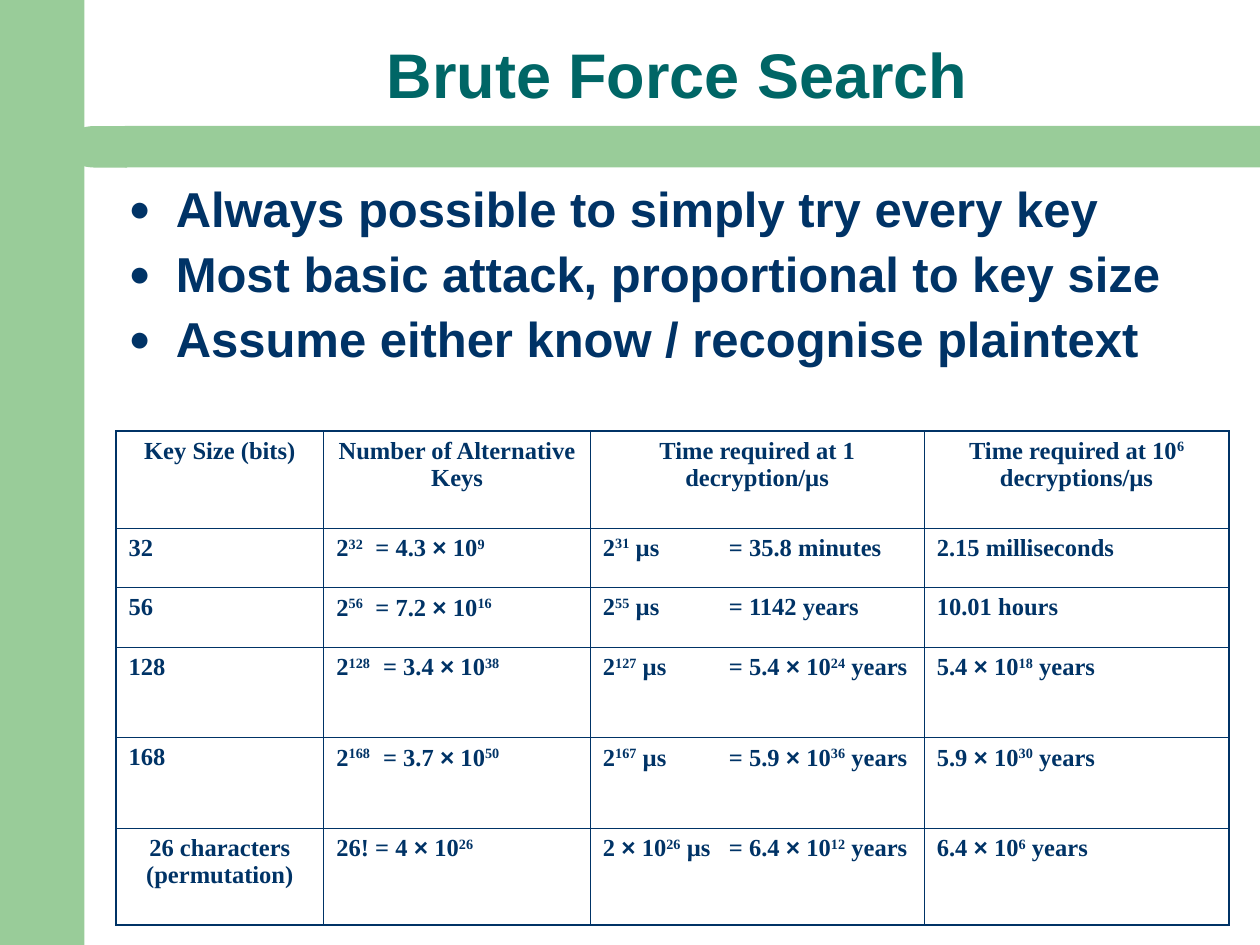
import dataclasses
import itertools
import typing

import lxml.etree
import pptx
import pptx.dml.color
import pptx.enum.shapes
import pptx.enum.text
import pptx.oxml.ns
import pptx.util

ALIGN = pptx.enum.text.PP_ALIGN
SHAPE = pptx.enum.shapes.MSO_SHAPE
GRID_COLUMNS, GRID_ROWS = 100, 75
DECK_WIDTH, DECK_HEIGHT = pptx.util.Inches(10), pptx.util.Inches(7.5)


@dataclasses.dataclass(frozen=True)
class Theme:
    band: str = "99CC99"
    title: str = "006666"
    ink: str = "003366"
    sans: str = "Arial"
    serif: str = "Times New Roman"
    title_size: float = 36
    body_size: float = 28
    cell_size: float = 14
    outer_line: float = 1.08
    inner_line: float = 0.45


class Area(typing.NamedTuple):
    column: float
    row: float
    width: float
    height: float


class Band(typing.NamedTuple):
    shape: typing.Any
    area: Area
    rotation: float = 0


class KeyRow(typing.NamedTuple):
    height: float
    cells: tuple[str, str, str, str]
    centred: tuple[int, ...] = ()


THEME = Theme()
BANDS = (
    Band(SHAPE.RECTANGLE, Area(0, 0, 6.7, GRID_ROWS)),
    Band(SHAPE.RECTANGLE, Area(9.9, 10, 90.1, 3.3)),
    Band(SHAPE.FLOWCHART_DELAY, Area(5, 10, 5.1, 3.3), 180),
)
TITLE_AREA = Area(8.9, 1.4, 89.7, 8)
BODY_AREA = Area(9.2, 14.2, 89.2, 21.5)
TABLE_AREA = Area(9.2, 34.2, 88.3, 39.2)
POINTS = (
    "Always possible to simply try every key",
    "Most basic attack, proportional to key size",
    "Assume either know / recognise plaintext",
)
COLUMN_WIDTHS = (16.5, 21.15, 26.5, 24.2)
KEY_ROWS = (
    KeyRow(7.7, ("Key Size (bits)", "Number of Alternative Keys",
                 "Time required at 1 decryption/µs",
                 "Time required at 10^6^ decryptions/µs"), (0, 1, 2, 3)),
    KeyRow(4.75, ("32", "2^32^\t= 4.3 × 10^9^", "2^31^ µs\t= 35.8 minutes",
                  "2.15 milliseconds")),
    KeyRow(4.7, ("56", "2^56^\t= 7.2 × 10^16^", "2^55^ µs\t= 1142 years",
                 "10.01 hours")),
    KeyRow(7.2, ("128", "2^128^\t= 3.4 × 10^38^",
                 "2^127^ µs\t= 5.4 × 10^24^ years", "5.4 × 10^18^ years")),
    KeyRow(7.2, ("168", "2^168^\t= 3.7 × 10^50^",
                 "2^167^ µs\t= 5.9 × 10^36^ years", "5.9 × 10^30^ years")),
    KeyRow(7.7, ("26 characters (permutation)", "26! = 4 × 10^26^",
                 "2 × 10^26^ µs\t= 6.4 × 10^12^ years",
                 "6.4 × 10^6^ years"), (0,)),
)


def across(columns: float) -> int:
    return round(DECK_WIDTH * columns / GRID_COLUMNS)


def down(rows: float) -> int:
    return round(DECK_HEIGHT * rows / GRID_ROWS)


def bounds(area: Area) -> tuple[int, int, int, int]:
    return across(area.column), down(area.row), across(area.width), down(area.height)


def colour(value: str) -> pptx.dml.color.RGBColor:
    return pptx.dml.color.RGBColor.from_string(value)


def child(parent: typing.Any, tag: str, **attributes: typing.Any) -> typing.Any:
    values = {name: str(value) for name, value in attributes.items()}
    return lxml.etree.SubElement(parent, pptx.oxml.ns.qn(tag), values)


def write(para: typing.Any, text: str, *, size: float, ink: str, font: str,
          align: typing.Any = ALIGN.LEFT, leading: float = 1, before: float = 0) -> None:
    para.alignment = align
    para.line_spacing = leading
    para.space_before = pptx.util.Pt(before)
    for index, piece in enumerate(text.split("^")):
        for is_sign, letters in itertools.groupby(piece, lambda letter: letter == "×"):
            span = para.add_run()
            span.text = "".join(letters)
            span.font.size = pptx.util.Pt(size)
            span.font.bold = True
            span.font.name = THEME.sans if is_sign else font
            span.font.color.rgb = colour(ink)
            if index % 2:
                span.font._element.set("baseline", "30000")


def place(box: typing.Any, area: Area, anchor: typing.Any) -> typing.Any:
    box.left, box.top, box.width, box.height = bounds(area)
    frame = box.text_frame
    frame.word_wrap = True
    frame.auto_size = pptx.enum.text.MSO_AUTO_SIZE.NONE
    frame.vertical_anchor = anchor
    return frame


def draw_band(page: typing.Any, band: Band) -> None:
    box = page.shapes.add_shape(band.shape, *bounds(band.area))
    box.rotation = band.rotation
    box.shadow.inherit = False
    box.fill.solid()
    box.fill.fore_color.rgb = colour(THEME.band)
    box.line.fill.background()


def add_bullet(para: typing.Any) -> None:
    properties = para._p.get_or_add_pPr()
    properties.set("marL", str(across(3.75)))
    properties.set("indent", str(-across(3.75)))
    child(child(properties, "a:buClr"), "a:srgbClr", val=THEME.ink)
    child(properties, "a:buSzPct", val=75000)
    child(properties, "a:buChar", char="●")


def add_tab(para: typing.Any, column: float) -> None:
    stops = child(para._p.get_or_add_pPr(), "a:tabLst")
    child(stops, "a:tab", pos=across(column), algn="l")


def draw_points(box: typing.Any) -> None:
    frame = place(box, BODY_AREA, pptx.enum.text.MSO_ANCHOR.TOP)
    for index, point in enumerate(POINTS):
        para = frame.add_paragraph() if index else frame.paragraphs[0]
        add_bullet(para)
        write(para, point, size=THEME.body_size, ink=THEME.ink, font=THEME.sans,
              leading=0.9, before=7 if index else 0)


def draw_borders(cell: typing.Any, outer: dict[str, bool]) -> None:
    properties = cell._tc.get_or_add_tcPr()
    for side, is_outer in outer.items():
        width = THEME.outer_line if is_outer else THEME.inner_line
        line = child(properties, f"a:ln{side}", w=int(pptx.util.Pt(width)))
        child(child(line, "a:solidFill"), "a:srgbClr", val=THEME.ink)


def draw_table(page: typing.Any) -> None:
    last_row, last_column = len(KEY_ROWS) - 1, len(COLUMN_WIDTHS) - 1
    table = page.shapes.add_table(last_row + 1, last_column + 1, *bounds(TABLE_AREA)).table
    table.first_row = table.horz_banding = False
    for column, width in zip(table.columns, COLUMN_WIDTHS):
        column.width = across(width)
    for row, key_row in enumerate(KEY_ROWS):
        table.rows[row].height = down(key_row.height)
        equals_column = 1.9 + 0.6 * len(key_row.cells[0])
        for column, text in enumerate(key_row.cells):
            cell = table.cell(row, column)
            draw_borders(cell, {"L": column == 0, "R": column == last_column,
                                "T": row == 0, "B": row == last_row})
            cell.fill.background()
            para = cell.text_frame.paragraphs[0]
            if "\t" in text:
                add_tab(para, equals_column if column == 1 else 10)
            write(para, text, size=THEME.cell_size, ink=THEME.ink, font=THEME.serif,
                  align=ALIGN.CENTER if column in key_row.centred else ALIGN.LEFT)


def main() -> None:
    deck = pptx.Presentation()
    deck.slide_width, deck.slide_height = DECK_WIDTH, DECK_HEIGHT
    page = deck.slides.add_slide(deck.slide_layouts[1])
    for band in BANDS:
        draw_band(page, band)
    frame = place(page.shapes.title, TITLE_AREA, pptx.enum.text.MSO_ANCHOR.BOTTOM)
    write(frame.paragraphs[0], "Brute Force Search", size=THEME.title_size,
          ink=THEME.title, font=THEME.sans, align=ALIGN.CENTER, leading=0.9)
    draw_points(page.placeholders[1])
    draw_table(page)
    deck.save("out.pptx")


if __name__ == "__main__":
    main()
